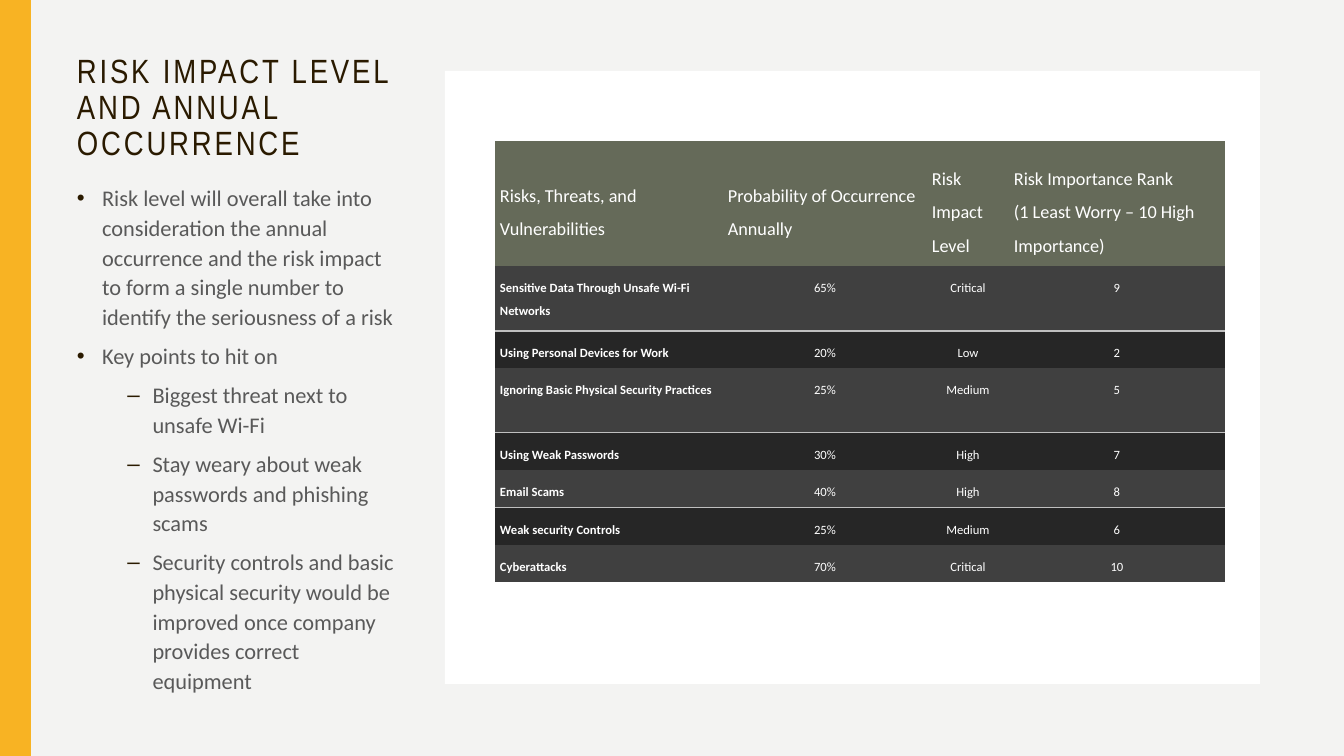
from dataclasses import dataclass

from lxml import etree
from pptx import Presentation
from pptx.dml.color import RGBColor
from pptx.enum.shapes import MSO_SHAPE
from pptx.enum.text import MSO_ANCHOR, PP_ALIGN
from pptx.oxml.ns import qn
from pptx.util import Pt

RECTANGLE = MSO_SHAPE.RECTANGLE
TOP, MIDDLE, BOTTOM = MSO_ANCHOR.TOP, MSO_ANCHOR.MIDDLE, MSO_ANCHOR.BOTTOM
LEFT, CENTER = PP_ALIGN.LEFT, PP_ALIGN.CENTER


@dataclass(frozen=True)
class Theme:
    background: str = "F3F3F2"
    accent: str = "F8B323"
    heading: str = "2A1A00"
    body: str = "595959"
    white: str = "FFFFFF"
    header_row: str = "656A59"
    odd_row: str = "404040"
    even_row: str = "262626"
    rule: str = "BFBFBF"
    heading_font: str = "Arial Narrow"
    body_font: str = "Calibri"
    heading_size: int = 24
    body_size: int = 16
    header_size: int = 13
    cell_size: int = 9


def assign(target, values):
    for name, value in values.items():
        setattr(target, name, value)


class SlideBuilder:
    """Draws styled elements on one slide, with lengths in px."""

    EMU_PER_PX = 914400 / 100.8

    def __init__(self, width, height, theme):
        self.theme = theme
        self.deck = Presentation()
        assign(self.deck, {"slide_width": self.px(width), "slide_height": self.px(height)})
        self.slide = self.deck.slides.add_slide(self.deck.slide_layouts[6])
        self.paint(self.slide.background.fill, theme.background)

    def px(self, length):
        return round(length * self.EMU_PER_PX)

    def box(self, *lengths):
        return [self.px(length) for length in lengths]

    def paint(self, fill, color):
        fill.solid()
        fill.fore_color.rgb = RGBColor.from_string(color)

    def panel(self, x, y, width, height, color):
        shape = self.slide.shapes.add_shape(RECTANGLE, *self.box(x, y, width, height))
        shape.shadow.inherit = False
        self.paint(shape.fill, color)
        shape.line.fill.background()

    def add_text(self, paragraph, text, font, color, **layout):
        run = paragraph.add_run()
        run.text = text
        assign(run.font, font)
        run.font.color.rgb = RGBColor.from_string(color)
        assign(paragraph, layout)
        return run

    def text_frame(self, x, y, width, height, anchor):
        frame = self.slide.shapes.add_textbox(*self.box(x, y, width, height)).text_frame
        assign(frame, {"word_wrap": True, "vertical_anchor": anchor})
        return frame

    def title(self, x, y, width, height, text):
        theme = self.theme
        frame = self.text_frame(x, y, width, height, BOTTOM)
        font = {"name": theme.heading_font, "size": Pt(theme.heading_size)}
        run = self.add_text(frame.paragraphs[0], text, font, theme.heading, line_spacing=0.9)
        run._r.get_or_add_rPr().set("spc", "200")

    def bullets(self, x, y, width, height, points):
        theme = self.theme
        frame = self.text_frame(x, y, width, height, TOP)
        font = {"name": theme.body_font, "size": Pt(theme.body_size)}
        for index, (level, text) in enumerate(points):
            paragraph = frame.add_paragraph() if index else frame.paragraphs[0]
            self.add_text(paragraph, text, font, theme.body,
                          level=level, line_spacing=1.1, space_before=Pt(7))
            self.bullet(paragraph, "•–"[level], 228600 * (1 + 2 * level))

    def bullet(self, paragraph, mark, margin):
        properties = paragraph._p.get_or_add_pPr()
        properties.set("marL", str(margin))
        properties.set("indent", "-228600")
        color = etree.SubElement(properties, qn("a:buClr"))
        etree.SubElement(color, qn("a:srgbClr"), val=self.theme.heading)
        etree.SubElement(properties, qn("a:buFont"), typeface="Arial")
        etree.SubElement(properties, qn("a:buChar"), char=mark)

    def borders(self, cell, ruled_side):
        properties = cell._tc.get_or_add_tcPr()
        for position, side in enumerate(("lnL", "lnR", "lnT", "lnB")):
            line = etree.Element(qn(f"a:{side}"), w="12700")
            if side == ruled_side:
                fill = etree.SubElement(line, qn("a:solidFill"))
                etree.SubElement(fill, qn("a:srgbClr"), val=self.theme.rule)
            else:
                etree.SubElement(line, qn("a:noFill"))
            properties.insert(position, line)

    def table(self, x, y, widths, heights, rows):
        area = self.box(x, y, sum(widths), sum(heights))
        grid = self.slide.shapes.add_table(len(rows), len(widths), *area).table
        assign(grid, {"first_row": False, "horz_banding": False})
        for column, width in zip(grid.columns, widths):
            column.width = self.px(width)
        for row, height in zip(grid.rows, heights):
            row.height = self.px(height)
        for row_index, texts in enumerate(rows):
            for column_index, text in enumerate(texts):
                self.cell(grid.cell(row_index, column_index), text,
                          row_index, column_index, len(rows) - 1)

    def cell(self, cell, text, row, column, last_row):
        theme = self.theme
        header, odd = row == 0, row % 2 == 1
        assign(cell, {
            "margin_left": self.px(5), "margin_right": self.px(5),
            "margin_top": self.px(7), "margin_bottom": 0,
            "vertical_anchor": MIDDLE if header else TOP,
        })
        font = {
            "name": theme.body_font,
            "size": Pt(theme.header_size if header else theme.cell_size),
            "bold": not header and column == 0,
        }
        for index, part in enumerate(text.split("\n")):
            frame = cell.text_frame
            paragraph = frame.add_paragraph() if index else frame.paragraphs[0]
            self.add_text(paragraph, part, font, theme.white, line_spacing=1.5,
                          alignment=LEFT if header or column == 0 else CENTER)
        if header:
            color, ruled_side = theme.header_row, None
        elif odd:
            color, ruled_side = theme.odd_row, "lnB" if row < last_row else None
        else:
            color, ruled_side = theme.even_row, "lnT"
        self.paint(cell.fill, color)
        self.borders(cell, ruled_side)


POINTS = [
    (0, "Risk level will overall take into consideration the annual occurrence and "
        "the risk impact to form a single number to identify the seriousness of a risk"),
    (0, "Key points to hit on"),
    (1, "Biggest threat next to unsafe Wi-Fi"),
    (1, "Stay weary about weak passwords and phishing scams"),
    (1, "Security controls and basic physical security would be improved once "
        "company provides correct equipment"),
]
RISKS = [
    ("Risks, Threats, and Vulnerabilities", "Probability of Occurrence Annually",
     "Risk Impact Level", "Risk Importance Rank\n(1 Least Worry – 10 High Importance)"),
    ("Sensitive Data Through Unsafe Wi-Fi Networks", "65%", "Critical", "9"),
    ("Using Personal Devices for Work", "20%", "Low", "2"),
    ("Ignoring Basic Physical Security Practices", "25%", "Medium", "5"),
    ("Using Weak Passwords", "30%", "High", "7"),
    ("Email Scams", "40%", "High", "8"),
    ("Weak security Controls", "25%", "Medium", "6"),
    ("Cyberattacks", "70%", "Critical", "10"),
]


def main():
    theme = Theme()
    builder = SlideBuilder(1344, 756, theme)
    builder.title(67, 42, 343, 126, "RISK IMPACT LEVEL AND ANNUAL OCCURRENCE")
    builder.panel(0, 0, 31, 756, theme.accent)
    builder.bullets(67, 177, 343, 536, POINTS)
    builder.panel(445, 71, 815, 613, theme.white)
    builder.table(495, 141, [228, 204, 82, 216], [125, 65, 37, 65, 37, 38, 37, 37], RISKS)
    builder.deck.save("out.pptx")


if __name__ == "__main__":
    main()
